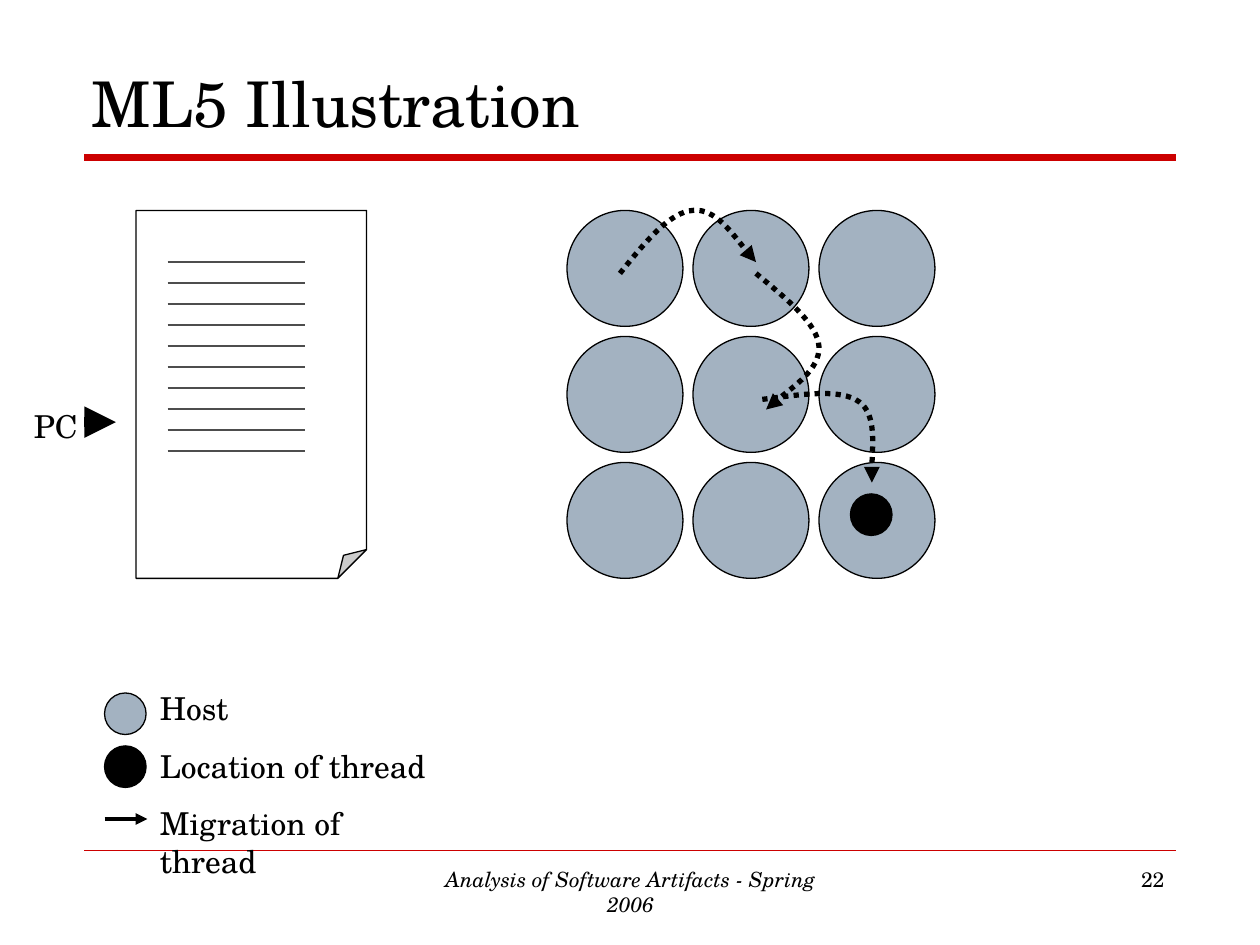
import itertools

import lxml.etree
import pptx
import pptx.dml.color
import pptx.enum.dml
import pptx.enum.shapes
import pptx.enum.text
import pptx.oxml.ns
import pptx.util

Inches = pptx.util.Inches
Pt = pptx.util.Pt
SHAPES = pptx.enum.shapes.MSO_SHAPE
ALIGN = pptx.enum.text.PP_ALIGN
ANCHOR = pptx.enum.text.MSO_ANCHOR
qn = pptx.oxml.ns.qn

FONT = "TeX Gyre Schola"
BLACK, WHITE, RED, GRAY, HOST = "000000", "FFFFFF", "CC0000", "4D4D4D", "A3B2C1"
MIGRATIONS = [
    [(4.92, 2.17), (5.12, 1.92), (5.32, 1.68), (5.5, 1.67), (5.68, 1.65), (5.93, 2.01), (6, 2.08)],
    [(6, 2.17), (6.24, 2.37), (6.49, 2.57), (6.5, 2.75), (6.51, 2.93), (6.15, 3.18), (6.08, 3.25)],
    [(6.05, 3.17), (6.36, 3.13), (6.67, 3.08), (6.82, 3.19), (6.96, 3.29), (6.91, 3.73), (6.92, 3.83)],
]


def set_color(color_format, color):
    """Give a solid fill a colour from a hex string."""
    color_format.solid()
    color_format.fore_color.rgb = pptx.dml.color.RGBColor.from_string(color)


def style_line(line, color, width, arrow=False):
    """Set the colour, width and optional end arrow of a line."""
    set_color(line.fill, color)
    line.width = Pt(width)
    if arrow:
        lxml.etree.SubElement(line.fill._xPr, qn("a:tailEnd"), type="triangle")


def add_line(slide, start, end, color, width, arrow=False):
    """Draw a straight line without a shadow."""
    points = [Inches(value) for value in (*start, *end)]
    connector = slide.shapes.add_connector(pptx.enum.shapes.MSO_CONNECTOR.STRAIGHT, *points)
    style_line(connector.line, color, width, arrow)
    lxml.etree.SubElement(connector._element.spPr, qn("a:effectLst"))


def add_figure(slide, kind, box, color):
    """Draw a filled preset shape with a thin black outline."""
    figure = slide.shapes.add_shape(kind, *map(Inches, box))
    figure.shadow.inherit = False
    set_color(figure.fill, color)
    style_line(figure.line, BLACK, 0.75)
    return figure


def add_migration(slide, points):
    """Draw a dotted arrow along a chain of cubic curves."""
    start, *rest = [(Inches(x), Inches(y)) for x, y in points]
    builder = slide.shapes.build_freeform(*start)
    builder.add_line_segments(rest, close=False)
    migration = builder.convert_to_shape()
    migration.shadow.inherit = False
    migration.fill.background()
    style_line(migration.line, BLACK, 3, arrow=True)
    migration.line.dash_style = pptx.enum.dml.MSO_LINE.ROUND_DOT
    segments = list(migration._element.iter(qn("a:lnTo")))
    for first in range(0, len(segments), 3):
        curve = lxml.etree.SubElement(segments[first].getparent(), qn("a:cubicBezTo"))
        for segment in segments[first:first + 3]:
            curve.append(segment[0])
            segment.getparent().remove(segment)


def write_text(holder, box, lines, size, align=ALIGN.LEFT, anchor=ANCHOR.TOP, wrap=True, italic=False):
    """Place a text holder and fill it with formatted paragraphs."""
    for side, value in zip(("left", "top", "width", "height"), box):
        setattr(holder, side, Inches(value))
    frame = holder.text_frame
    frame.text = "\n".join(lines)
    frame_format = {"auto_size": pptx.enum.text.MSO_AUTO_SIZE.NONE,
                    "word_wrap": wrap, "vertical_anchor": anchor}
    for name, value in frame_format.items():
        setattr(frame, name, value)
    font_format = {"name": FONT, "size": Pt(size), "italic": italic}
    for index, paragraph in enumerate(frame.paragraphs):
        paragraph.alignment = align
        paragraph.space_before = Pt(11.2 if index else 0)
        for name, value in font_format.items():
            setattr(paragraph.font, name, value)
        set_color(paragraph.font.fill, BLACK)


def add_text(slide, box, lines, size, **options):
    """Add a text box with formatted paragraphs."""
    write_text(slide.shapes.add_textbox(*map(Inches, box)), box, lines, size, **options)


def add_program(slide):
    """Draw the program page with its code lines and program counter."""
    page = add_figure(slide, SHAPES.FOLDED_CORNER, (1.08, 1.67, 1.83, 2.92), WHITE)
    fold = next(page._element.iter(qn("a:avLst")))
    lxml.etree.SubElement(fold, qn("a:gd"), name="adj", fmla="val 12500")
    for row in range(10):
        y = 2.08 + row / 6
        add_line(slide, (1.33, y), (2.42, y), GRAY, 1.5)
    add_line(slide, (0.67, 3.35), (0.92, 3.35), BLACK, 6, arrow=True)
    add_text(slide, (0.17, 3.18, 0.58, 0.4), ["PC"], 18, wrap=False)


def add_hosts(slide):
    """Draw the grid of hosts, the thread and its migrations."""
    for row, column in itertools.product(range(3), repeat=2):
        add_figure(slide, SHAPES.OVAL, (4.5 + column, 1.67 + row, 0.92, 0.92), HOST)
    add_figure(slide, SHAPES.OVAL, (6.75, 3.92, 0.33, 0.33), BLACK)
    for points in MIGRATIONS:
        add_migration(slide, points)


def add_legend(slide):
    """Draw the legend symbols and their labels."""
    for top, color in ((5.5, HOST), (5.92, BLACK)):
        add_figure(slide, SHAPES.OVAL, (0.83, top, 0.33, 0.33), color)
    add_line(slide, (0.83, 6.5), (1.17, 6.5), BLACK, 2.25, arrow=True)
    labels = ["Host", "Location of thread", "Migration of thread"]
    add_text(slide, (1.17, 5.42, 2.42, 1.62), labels, 18)


def main():
    """Build and save the slide."""
    deck = pptx.Presentation()
    deck.slide_width, deck.slide_height = Inches(10), Inches(7.5)
    slide = deck.slides.add_slide(deck.slide_layouts[5])
    for y, width in ((6.75, 0.25), (1.25, 4)):
        add_line(slide, (0.67, y), (9.33, y), RED, width)
    write_text(slide.shapes.title, (0.63, 0.33, 8.29, 0.83), ["ML5 Illustration"], 36,
               anchor=ANCHOR.BOTTOM)
    add_program(slide)
    add_hosts(slide)
    add_legend(slide)
    add_text(slide, (3.42, 6.83, 3.17, 0.52), ["Analysis of Software Artifacts - Spring 2006"], 12,
             align=ALIGN.CENTER, italic=True)
    add_text(slide, (7.17, 6.83, 2.17, 0.52), ["22"], 12, align=ALIGN.RIGHT)
    deck.save("out.pptx")


if __name__ == "__main__":
    main()
